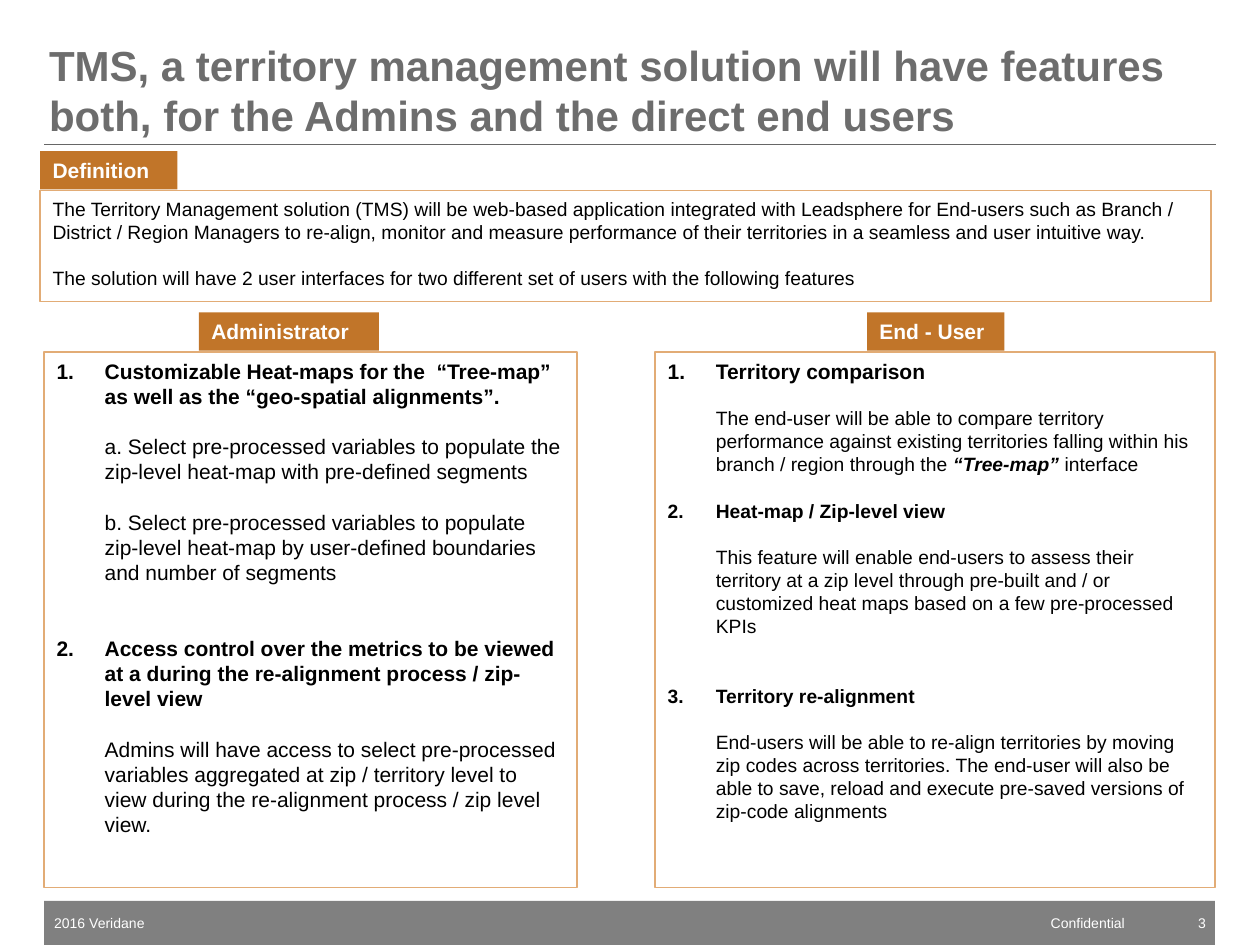
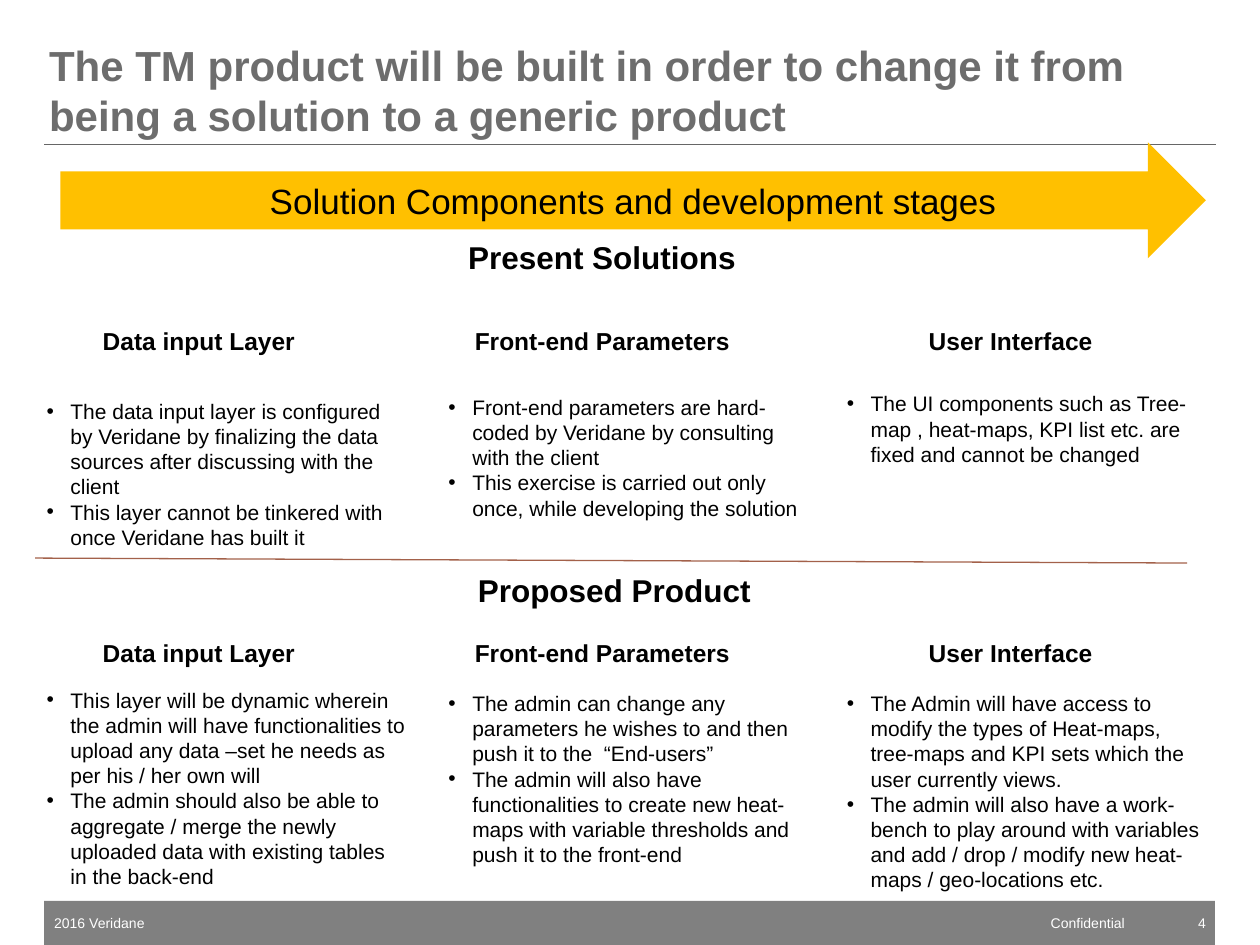
"""Builds two slides on a territory management solution and its path to a product."""
from copy import deepcopy
from dataclasses import dataclass

from lxml import etree
from pptx import Presentation
from pptx.dml.color import RGBColor
from pptx.enum.shapes import MSO_CONNECTOR, MSO_SHAPE
from pptx.enum.text import MSO_ANCHOR, MSO_AUTO_SIZE, PP_ALIGN
from pptx.oxml.ns import qn
from pptx.util import Cm, Pt

LEFT, CENTER, RIGHT = PP_ALIGN.LEFT, PP_ALIGN.CENTER, PP_ALIGN.RIGHT
TOP, MIDDLE, BOTTOM = MSO_ANCHOR.TOP, MSO_ANCHOR.MIDDLE, MSO_ANCHOR.BOTTOM
RECTANGLE, RIGHT_ARROW = MSO_SHAPE.RECTANGLE, MSO_SHAPE.RIGHT_ARROW
STRAIGHT = MSO_CONNECTOR.STRAIGHT
NO_AUTOFIT = MSO_AUTO_SIZE.NONE


@dataclass(frozen=True)
class Theme:
    font: str = "Arial"
    title: str = "6D6D6D"
    ink: str = "000000"
    paper: str = "FFFFFF"
    rule: str = "666666"
    band: str = "808080"
    tab: str = "C17529"
    panel_edge: str = "E2AC76"
    arrow: str = "FFC000"
    divider: str = "A3614A"
    title_size: int = 24
    arrow_size: int = 20
    stage_size: int = 18
    heading_size: int = 14
    body_size: int = 12
    small_size: int = 11
    footer_size: int = 8
    line_height: float = 1.2


class Deck:
    MAX_LISTS = 6
    TAB_RISE, TAB_HEIGHT = 0.79, 0.77

    def __init__(self, theme, first_number):
        self.theme = theme
        self.number = first_number
        self.presentation = Presentation()
        self.presentation.slide_width = Cm(25.4)
        self.presentation.slide_height = Cm(19.05)
        self.layout = self.presentation.slide_layouts[1]
        body = self.layout.placeholders[1].element
        for extra in range(1, self.MAX_LISTS):
            twin = deepcopy(body)
            twin.xpath(".//p:cNvPr")[0].set("id", str(20 + extra))
            twin.xpath(".//p:ph")[0].set("idx", str(20 + extra))
            body.addnext(twin)

    def new_slide(self, title, list_count):
        theme = self.theme
        self.slide = self.presentation.slides.add_slide(self.layout)
        bodies = list(self.slide.placeholders)[1:]
        for spare in bodies[list_count:]:
            spare.element.getparent().remove(spare.element)
        self.free_lists = bodies[:list_count]
        heading = self.slide.shapes.title
        self.place(heading, (0.99, 0.71, 23.6, 2.11))
        frame = self.frame(heading, BOTTOM, margins=(0, 0, 0, 0))
        self.fill_in(frame.paragraphs[0], title, theme.title_size, theme.title, bold=True)
        self.line((0.89, 2.92), (24.51, 2.92), theme.rule, 0.5)
        self.shape(RECTANGLE, (0.89, 18.16, 23.6, 0.89), theme.band)
        for text, left, width, align in (
            ("2016 Veridane", 1.09, 3, LEFT),
            ("Confidential", 19.68, 3, RIGHT),
            (str(self.number), 23.31, 1, RIGHT),
        ):
            self.label(text, (left, 18.44, width, 0.33), theme.footer_size,
                       theme.paper, False, align, margins=(0, 0, 0, 0))
        self.number += 1

    def place(self, item, box):
        item.left, item.top, item.width, item.height = map(Cm, box)

    def frame(self, item, anchor=TOP, margins=(0.25, 0.13, 0.25, 0.13)):
        frame = item.text_frame
        frame.word_wrap = True
        frame.auto_size = NO_AUTOFIT
        frame.vertical_anchor = anchor
        (frame.margin_left, frame.margin_top,
         frame.margin_right, frame.margin_bottom) = map(Cm, margins)
        return frame

    def fill_in(self, paragraph, text, size, color, bold=False, align=LEFT, gap_lines=0):
        paragraph.alignment = align
        paragraph.space_before = Pt(gap_lines * size * self.theme.line_height)
        font = paragraph.font
        font.name, font.size, font.bold = self.theme.font, Pt(size), bold
        font.color.rgb = RGBColor.from_string(color)
        for position, part in enumerate(text.split("|")):
            run = paragraph.add_run()
            run.text = part
            if position % 2:
                run.font.bold = run.font.italic = True

    def bullet(self, paragraph, indent, tag, hanging=True, **attributes):
        properties = paragraph._p.get_or_add_pPr()
        properties.set("marL", str(Cm(indent)))
        properties.set("indent", str(-Cm(indent) if hanging else 0))
        etree.SubElement(properties, qn(tag), attributes)

    def paragraphs(self, frame):
        yield frame.paragraphs[0]
        while True:
            yield frame.add_paragraph()

    def shape(self, kind, box, fill, edge=None):
        shape = self.slide.shapes.add_shape(kind, *map(Cm, box))
        shape.shadow.inherit = False
        self.paint(shape, fill, edge)
        return shape

    def paint(self, shape, fill, edge=None):
        shape.fill.solid()
        shape.fill.fore_color.rgb = RGBColor.from_string(fill)
        if edge:
            shape.line.color.rgb = RGBColor.from_string(edge)
            shape.line.width = Pt(1)
        else:
            shape.line.fill.background()

    def line(self, start, end, color, width):
        line = self.slide.shapes.add_connector(STRAIGHT, *map(Cm, start + end))
        line.line.color.rgb = RGBColor.from_string(color)
        line.line.width = Pt(width)
        etree.SubElement(line.element.spPr, qn("a:effectLst"))

    def label(self, text, box, size, color, bold=True, align=CENTER, **framing):
        label = self.slide.shapes.add_textbox(*map(Cm, box))
        self.fill_in(self.frame(label, **framing).paragraphs[0], text, size, color, bold, align)

    def arrow(self, text, box):
        arrow = self.shape(RIGHT_ARROW, box, self.theme.arrow)
        frame = self.frame(arrow, MIDDLE, margins=(0.84, 0, 0.25, 0))
        self.fill_in(frame.paragraphs[0], text, self.theme.arrow_size, self.theme.ink, align=CENTER)

    def tab(self, text, left, width, panel_top):
        tab = self.shape(RECTANGLE, (left, panel_top - self.TAB_RISE, width, self.TAB_HEIGHT),
                         self.theme.tab)
        self.fill_in(self.frame(tab, MIDDLE).paragraphs[0], text,
                     self.theme.body_size, self.theme.paper, bold=True)

    def text_panel(self, texts, box):
        panel = self.shape(RECTANGLE, box, self.theme.paper, self.theme.panel_edge)
        slots = self.paragraphs(self.frame(panel))
        for position, text in enumerate(texts):
            self.fill_in(next(slots), text, self.theme.small_size, self.theme.ink,
                         gap_lines=min(position, 1))

    def numbered_panel(self, features, box, size):
        theme, indent = self.theme, 0.97
        panel = self.free_lists.pop(0)
        self.place(panel, box)
        self.paint(panel, theme.paper, theme.panel_edge)
        slots = self.paragraphs(self.frame(panel))
        for number, (gap_lines, heading, details) in enumerate(features, 1):
            entry = next(slots)
            self.bullet(entry, indent, "a:buAutoNum", type="arabicPeriod", startAt=str(number))
            heading_size = theme.body_size if number == 1 else size
            self.fill_in(entry, heading, heading_size, theme.ink, bold=True, gap_lines=gap_lines)
            for detail in details:
                entry = next(slots)
                self.bullet(entry, indent, "a:buNone", hanging=False)
                self.fill_in(entry, detail, size, theme.ink, gap_lines=1)

    def bullet_list(self, points, box):
        points_list = self.free_lists.pop(0)
        self.place(points_list, box)
        slots = self.paragraphs(self.frame(points_list))
        for point in points:
            entry = next(slots)
            self.bullet(entry, 0.48, "a:buChar", char="•")
            self.fill_in(entry, point, self.theme.body_size, self.theme.ink)


DEFINITION = (
    "The Territory Management solution (TMS) will be web-based application integrated with "
    "Leadsphere for End-users such as Branch / District / Region Managers to re-align, monitor "
    "and measure performance of their territories in a seamless and user intuitive way.",
    "The solution will have 2 user interfaces for two different set of users with the "
    "following features",
)
ADMIN_FEATURES = (
    (0, "Customizable Heat-maps for the  “Tree-map” as well as the “geo-spatial alignments”.",
     ("a. Select pre-processed variables to populate the zip-level heat-map with "
      "pre-defined segments",
      "b. Select pre-processed variables to populate zip-level heat-map by user-defined "
      "boundaries and number of segments")),
    (2, "Access control over the metrics to be viewed at a during the re-alignment process "
        "/ zip-level view",
     ("Admins will have access to select pre-processed variables aggregated at zip / territory "
      "level to view during the re-alignment process / zip level view.",)),
)
USER_FEATURES = (
    (0, "Territory comparison",
     ("The end-user will be able to compare territory performance against existing territories "
      "falling within his branch / region through the |“Tree-map” |interface",)),
    (1, "Heat-map / Zip-level view",
     ("This feature will enable end-users to assess their territory at a zip level through "
      "pre-built and / or customized heat maps based on a few pre-processed KPIs",)),
    (2, "Territory re-alignment",
     ("End-users will be able to re-align territories by moving zip codes across territories. "
      "The end-user will also be able to save, reload and execute pre-saved versions of "
      "zip-code alignments",)),
)
COMPONENTS = (
    ("Data input Layer", 1.42, 5.18),
    ("Front-end Parameters", 8.97, 6.35),
    ("User Interface", 17.2, 6.35),
)
LIST_LEFTS = (0.69, 8.79, 16.82)
PRESENT = (
    (7.9, 3.33, (
        "The data input layer is configured by Veridane by finalizing the data sources after "
        "discussing with the client",
        "This layer cannot be tinkered with once Veridane has built it")),
    (7.82, 2.82, (
        "Front-end parameters are hard-coded by Veridane by consulting with the client",
        "This exercise is carried out only once, while developing the solution")),
    (7.75, 1.8, (
        "The UI components such as Tree- map , heat-maps, KPI list etc. are fixed and cannot "
        "be changed",)),
)
PROPOSED = (
    (13.72, 4.37, (
        "This layer will be dynamic wherein the admin will have functionalities to upload any "
        "data –set he needs as per his / her own will",
        "The admin should also be able to aggregate / merge the newly uploaded data with "
        "existing tables in the back-end")),
    (13.79, 3.84, (
        "The admin can change any parameters he wishes to and then push it to the  “End-users”",
        "The admin will also have functionalities to create new heat-maps with variable "
        "thresholds and push it to the front-end")),
    (13.79, 4.37, (
        "The Admin will have access to modify the types of Heat-maps, tree-maps and KPI sets "
        "which the user currently views.",
        "The admin will also have a work-bench to play around with variables and add / drop / "
        "modify new heat-maps / geo-locations etc.")),
)
STAGES = (
    ("Present Solutions", (8.26, 4.67, 7.75, 1.02), 6.45, PRESENT),
    ("Proposed Product", (9.35, 11.38, 6.07, 1.02), 12.73, PROPOSED),
)


def features_slide(deck):
    deck.new_slide("TMS, a territory management solution will have features both, for the "
                   "Admins and the direct end users", list_count=2)
    definition_top, features_top, features_height = 3.84, 7.09, 10.8
    deck.text_panel(DEFINITION, (0.81, definition_top, 23.6, 2.24))
    deck.tab("Definition", 0.81, 2.77, definition_top)
    deck.numbered_panel(ADMIN_FEATURES, (0.89, features_top, 10.74, features_height),
                        deck.theme.body_size)
    deck.tab("Administrator", 4.01, 3.63, features_top)
    deck.numbered_panel(USER_FEATURES, (13.21, features_top, 11.28, features_height),
                        deck.theme.small_size)
    deck.tab("End - User", 17.48, 2.77, features_top)


def stages_slide(deck):
    theme = deck.theme
    deck.new_slide("The TM product will be built in order to change it from being a solution "
                   "to a generic product", list_count=6)
    deck.arrow("Solution Components and development stages", (1.22, 2.87, 23.09, 2.34))
    deck.line((0.71, 11.25), (23.93, 11.35), theme.divider, 0.75)
    for stage, stage_box, heading_top, columns in STAGES:
        deck.label(stage, stage_box, theme.stage_size, theme.ink)
        for (component, left, width), list_left, (top, height, points) in zip(
                COMPONENTS, LIST_LEFTS, columns):
            deck.label(component, (left, heading_top, width, 0.86), theme.heading_size, theme.ink)
            deck.bullet_list(points, (list_left, top, 7.75, height))


def main():
    deck = Deck(Theme(), first_number=3)
    features_slide(deck)
    stages_slide(deck)
    deck.presentation.save("out.pptx")


if __name__ == "__main__":
    main()
